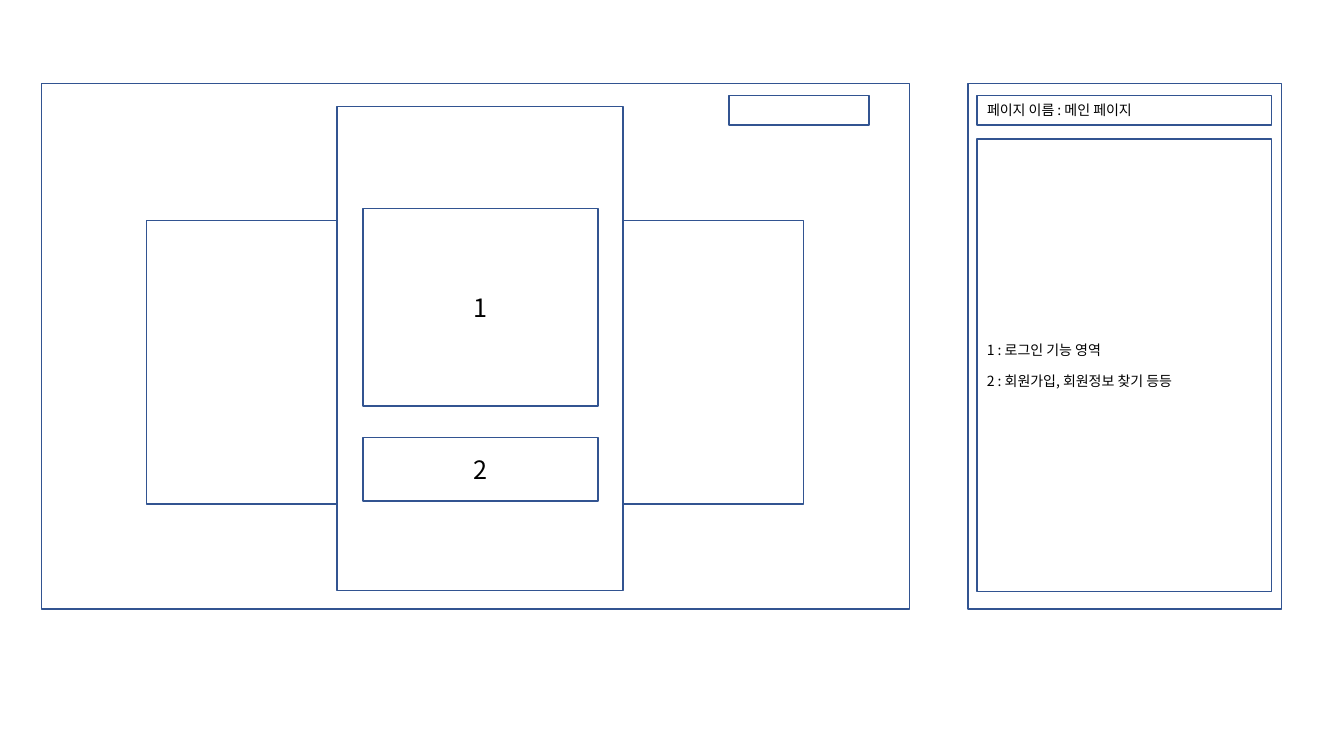
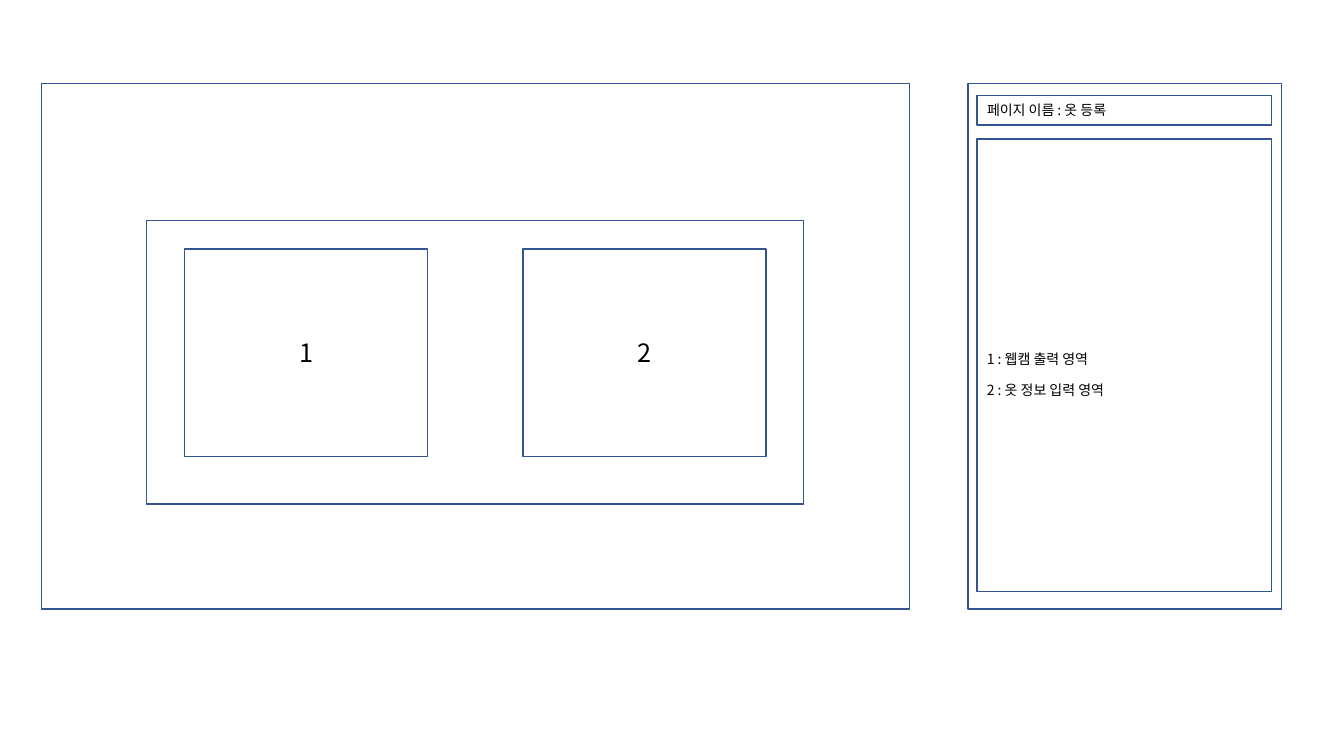
from pptx import Presentation
from pptx.dml.color import RGBColor
from pptx.enum.shapes import MSO_SHAPE
from pptx.enum.text import MSO_ANCHOR, MSO_AUTO_SIZE, PP_ALIGN
from pptx.oxml.ns import qn
from pptx.util import Inches, Pt

RECT = MSO_SHAPE.RECTANGLE
MIDDLE = MSO_ANCHOR.MIDDLE
NO_FIT = MSO_AUTO_SIZE.NONE
LEFT, CENTER = PP_ALIGN.LEFT, PP_ALIGN.CENTER

WHITE = RGBColor(0xFF, 0xFF, 0xFF)
BLACK = RGBColor(0x00, 0x00, 0x00)
BLUE = RGBColor(0x32, 0x54, 0x91)
FONT = "Noto Sans CJK KR"

deck = Presentation()
deck.slide_width, deck.slide_height = Inches(13.33), Inches(7.5)
COL, ROW = deck.slide_width / 100, deck.slide_height / 100

# Boxes are left, top, width, height in columns and rows of a 100 x 100 grid.
SCREEN = (3.08, 11.07, 64.59, 69.47)
PANEL = (72.02, 11.07, 23.33, 69.47)
NAME = (72.69, 12.67, 21.91, 3.87)
NOTES = (72.69, 18.4, 21.91, 59.87)
CONTENT = (10.88, 29.2, 48.91, 37.47)
BUTTON = (54.24, 12.67, 10.43, 3.87)
DIALOG = (25.06, 14.13, 21.31, 64)
LOGIN = (27.01, 27.6, 17.48, 26.13)
SIGNUP = (27.01, 57.87, 17.48, 8.4)
CAMERA = (13.73, 32.93, 18.08, 27.47)
DETAILS = (38.93, 32.93, 18.08, 27.47)

# Page name, notes, top inset of the notes, plain boxes, numbered boxes
PAGES = [
    ("메인 페이지", ["1 : 로그인 기능 영역", "2 : 회원가입, 회원정보 찾기 등등"],
     0.05, [CONTENT, BUTTON, DIALOG], [LOGIN, SIGNUP]),
    ("옷 등록", ["1 : 웹캠 출력 영역", "2 : 옷 정보 입력 영역"],
     0.22, [CONTENT], [CAMERA, DETAILS]),
]


def outline(slide, box, shape=None):
    """Place a white box with a blue edge, adding a rectangle if none is given."""
    left, top, width, height = box
    area = [round(n) for n in (left * COL, top * ROW, width * COL, height * ROW)]
    if shape is None:
        shape = slide.shapes.add_shape(RECT, *area)
        shape.shadow.inherit = False
    else:
        shape.left, shape.top, shape.width, shape.height = area
    shape.fill.solid()
    shape.fill.fore_color.rgb = WHITE
    shape.line.color.rgb = BLUE
    shape.line.width = Pt(1)
    return shape


def write(shape, lines, size, align):
    frame = shape.text_frame
    frame.text = "\n".join(lines)
    frame.word_wrap = True
    frame.auto_size = NO_FIT
    frame.vertical_anchor = MIDDLE
    for index, para in enumerate(frame.paragraphs):
        para.alignment = align
        para.line_spacing = 1.0
        para.space_before = Pt(10 if index else 0)
        para.font.name = FONT
        para.font.size = Pt(size)
        para.font.color.rgb = BLACK
        # Hangul takes the East Asian typeface, which font.name leaves unset.
        props = para._p.pPr.find(qn("a:defRPr"))
        asian = props.makeelement(qn("a:ea"), {"typeface": FONT})
        props.find(qn("a:latin")).addnext(asian)


for name, notes, inset, plain, numbered in PAGES:
    slide = deck.slides.add_slide(deck.slide_layouts.get_by_name("Title Only"))
    for box in (SCREEN, PANEL):
        outline(slide, box)

    title = outline(slide, NAME, slide.shapes.title)
    write(title, [f"페이지 이름 : {name}"], 10, LEFT)
    # The title must lie in front of the panel.
    slide.shapes._spTree.append(title._element)

    legend = outline(slide, NOTES)
    write(legend, notes, 10, LEFT)
    legend.text_frame.margin_top = Inches(inset)

    for box in plain:
        outline(slide, box)
    for number, box in enumerate(numbered, 1):
        write(outline(slide, box), [str(number)], 18, CENTER)

deck.save("out.pptx")
